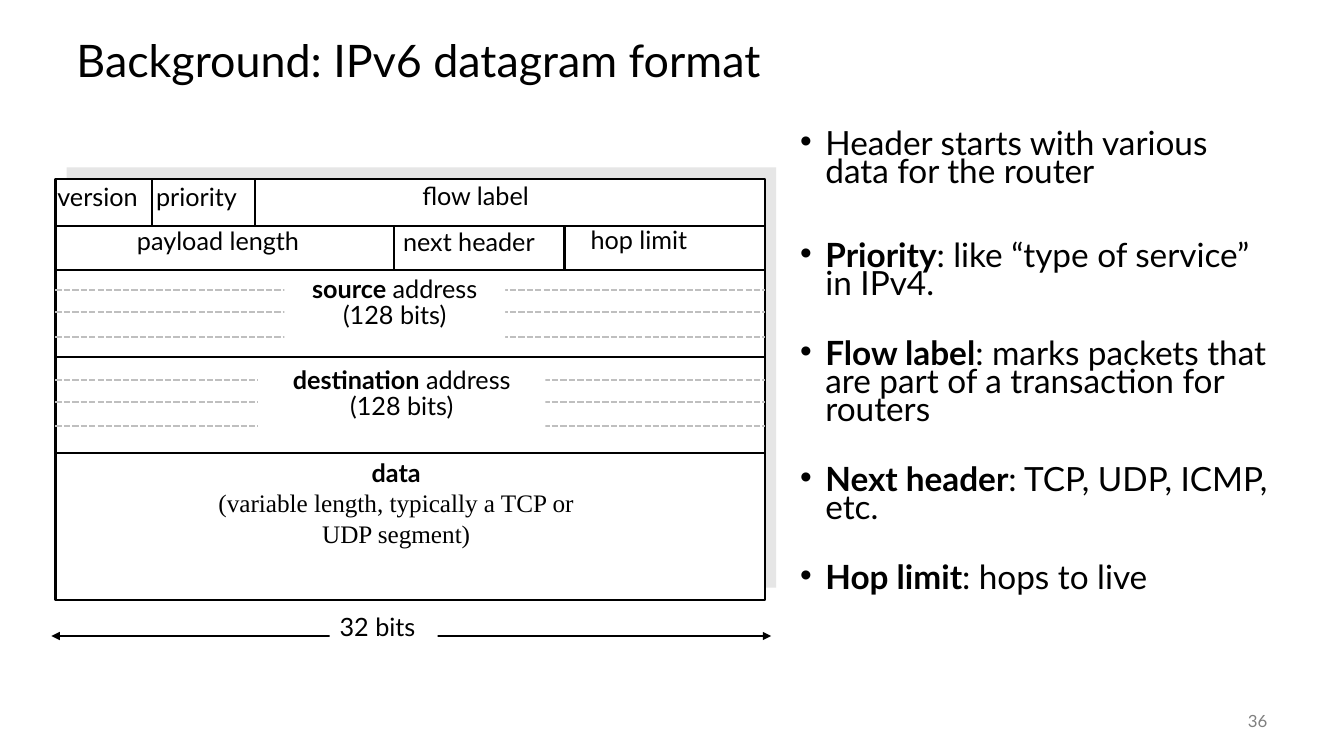
import pptx
import pptx.util
import pptx.dml.color
import pptx.enum.dml
import pptx.enum.shapes
import pptx.enum.text
import pptx.oxml.ns
from lxml import etree

COLORS = {"ink": "000000", "paper": "FFFFFF", "shade": "E6E6E6",
          "dash": "BFBFBF", "number": "808080"}
ALIGN = pptx.enum.text.PP_ALIGN
MIDDLE = pptx.enum.text.MSO_ANCHOR.MIDDLE
RECTANGLE = pptx.enum.shapes.MSO_SHAPE.RECTANGLE
SLIDE_W, SLIDE_H = 13.33, 7.5

# Datagram frame, in percent of the slide's width and height
LEFT, TOP, WIDTH, HEIGHT = 4.13, 23.73, 52.8, 55.6
RIGHT = LEFT + WIDTH
ROW_EDGES = [29.87, 35.73, 47.2, 59.87]
LABEL_H = 6.67

# Name, left, top, width
LABELS = [
    ("version", 3.53, 23.33, 8.63),
    ("priority", 10.88, 23.33, 8.7),
    ("flow label", 30.68, 23.2, 11.03),
    ("payload length", 9.45, 29.2, 15.68),
    ("next header", 29.25, 29.33, 12.9),
    ("hop limit", 43.2, 29.07, 10.43),
]
# Name, box, top of the first dashed line
ADDRESSES = [
    ("source", (21.15, 36.13, 16.43, 10.67), 38.4),
    ("destination", (19.2, 48.13, 21.38, 10.53), 50.27),
]
DASH_STEPS = [0, 2.93, 6.13]

# Bold term, explanation, space before in points
NOTES = [
    ("", "Header starts with various data for the router", 0),
    ("Priority", ": like “type of service” in IPv4.", 40),
    ("Flow label", ": marks packets that are part of a transaction for routers", 30),
    ("Next header", ": TCP, UDP, ICMP, etc.", 30),
    ("Hop limit", ": hops to live", 30),
]


def across(share):
    return pptx.util.Inches(SLIDE_W * share / 100)


def down(share):
    return pptx.util.Inches(SLIDE_H * share / 100)


def place(box):
    x, y, w, h = box
    return across(x), down(y), across(w), down(h)


def color(name):
    return pptx.dml.color.RGBColor.from_string(COLORS[name])


def assign(target, values):
    for name, value in values.items():
        setattr(target, name, value)


def add_run(p, text, size=18, bold=False, ink="ink", font="Lato"):
    r = p.add_run()
    r.text = text
    assign(r.font, {"name": font, "size": pptx.util.Pt(size), "bold": bold})
    r.font.color.rgb = color(ink)


def add_lines(s, lines, **paragraph_format):
    """Fill a shape; each line is a list of (text, run format) pairs."""
    tf = s.text_frame
    tf.word_wrap = True
    for i, runs in enumerate(lines):
        p = tf.add_paragraph() if i else tf.paragraphs[0]
        assign(p, paragraph_format)
        for text, run_format in runs:
            add_run(p, text, **run_format)
    return tf


def add_text(slide, box, lines, **paragraph_format):
    return add_lines(slide.shapes.add_textbox(*place(box)), lines, **paragraph_format)


def add_box(slide, box, fill="paper", outline=None):
    s = slide.shapes.add_shape(RECTANGLE, *place(box))
    s.shadow.inherit = False
    s.fill.solid()
    s.fill.fore_color.rgb = color(fill)
    if outline:
        s.line.color.rgb = color(outline)
        s.line.width = pptx.util.Pt(1.5)
    else:
        s.line.fill.background()
    s.text_frame.vertical_anchor = pptx.enum.text.MSO_ANCHOR.TOP
    return s


def add_line(slide, x1, y1, x2, y2, ink="ink", width=1.5, dashed=False, arrows=False):
    s = slide.shapes.add_connector(pptx.enum.shapes.MSO_CONNECTOR.STRAIGHT,
                                   across(x1), down(y1), across(x2), down(y2))
    s.line.color.rgb = color(ink)
    s.line.width = pptx.util.Pt(width)
    if dashed:
        s.line.dash_style = pptx.enum.dml.MSO_LINE.SQUARE_DOT
    if arrows:
        for end in ("a:headEnd", "a:tailEnd"):
            etree.SubElement(s.line._get_or_add_ln(), pptx.oxml.ns.qn(end), type="triangle")
    etree.SubElement(s._element.spPr, pptx.oxml.ns.qn("a:effectLst"))


def add_bullet(p):
    props = p._p.get_or_add_pPr()
    indent = pptx.util.Inches(0.25)
    props.set("marL", str(indent))
    props.set("indent", str(-indent))
    etree.SubElement(props, pptx.oxml.ns.qn("a:buFont"), typeface="Arial")
    etree.SubElement(props, pptx.oxml.ns.qn("a:buChar"), char="•")


def add_notes(slide):
    lines = [[(text, {"size": 23.8, "bold": bold})
              for text, bold in ((term, True), (rest, False)) if text]
             for term, rest, _ in NOTES]
    tf = add_text(slide, (58.8, 16.93, 36.23, 67.2), lines, line_spacing=0.7)
    for p, (_, _, gap) in zip(tf.paragraphs, NOTES):
        p.space_before = pptx.util.Pt(gap)
        add_bullet(p)


def add_datagram(slide):
    # Frame and its offset shade
    add_box(slide, (LEFT + 0.83, TOP - 1.6, WIDTH, HEIGHT), "shade")
    add_box(slide, (LEFT, TOP, WIDTH, HEIGHT), outline="ink")

    # Field borders
    for y in ROW_EDGES:
        add_line(slide, LEFT, y, RIGHT, y)
    for top, bottom, edges in ((TOP, ROW_EDGES[0], (11.33, 18.98)),
                               (ROW_EDGES[0], ROW_EDGES[1], (29.33, 42))):
        for x in edges:
            add_line(slide, x, top, x, bottom)

    # Field names
    for name, x, y, w in LABELS:
        add_text(slide, (x, y, w, LABEL_H), [[(name, {})]])

    # Addresses over dashed word lines
    for name, box, first_dash in ADDRESSES:
        for step in DASH_STEPS:
            y = first_dash + step
            add_line(slide, LEFT, y, RIGHT, y, "dash", dashed=True)
        add_lines(add_box(slide, box),
                  [[(name, {"bold": True}), (" address", {})], [("(128 bits)", {})]],
                  alignment=ALIGN.CENTER, line_spacing=0.85)

    # Payload
    add_text(slide, (15.23, ROW_EDGES[3], 28.5, 17.47),
             [[("data", {"bold": True})],
              [("(variable length, typically a TCP or UDP segment)",
                {"font": "Times New Roman"})]],
             alignment=ALIGN.CENTER)

    # Width of one row
    add_line(slide, 3.83, 84.13, 57.38, 84.13, width=0.75, arrows=True)
    add_lines(add_box(slide, (24.53, 80.27, 8.03, LABEL_H)),
              [[("32 bits", {})]], alignment=ALIGN.LEFT)


def main():
    prs = pptx.Presentation()
    prs.slide_width, prs.slide_height = across(100), down(100)
    slide = prs.slides.add_slide(prs.slide_layouts[6])

    title = add_text(slide, (4.95, 3.33, 90, 10),
                     [[("Background: IPv6 datagram format", {"size": 32})]],
                     line_spacing=0.9)
    number = add_text(slide, (87.53, 92.67, 7.5, 5.33),
                      [[("36", {"size": 12, "ink": "number"})]], alignment=ALIGN.RIGHT)
    for tf in (title, number):
        tf.vertical_anchor = MIDDLE
    add_notes(slide)
    add_datagram(slide)
    prs.save("out.pptx")


if __name__ == "__main__":
    main()
